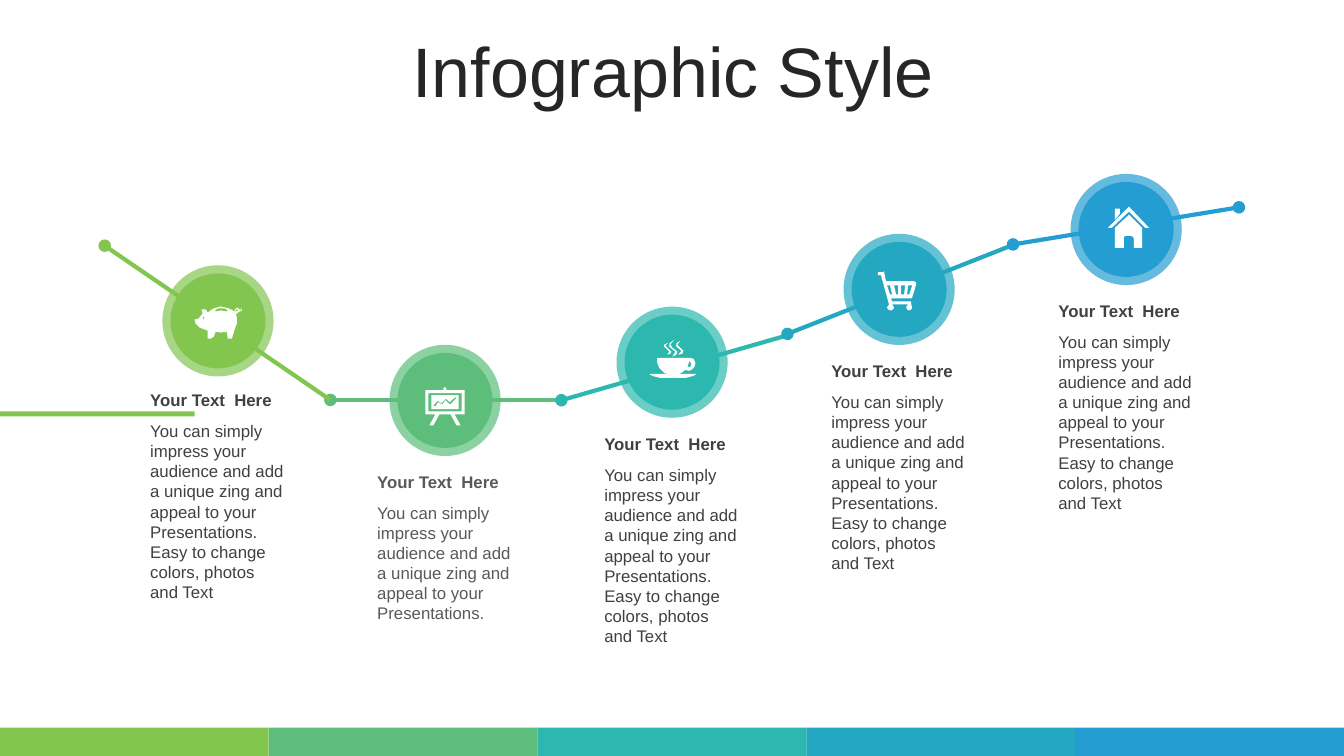
"""Builds the "Infographic Style" slide: five icon steps along a rising line."""
import pptx
import pptx.dml.color
import pptx.enum.shapes
import pptx.enum.text
import pptx.oxml
import pptx.oxml.ns
import pptx.util

Pt = pptx.util.Pt
RGB = pptx.dml.color.RGBColor
SHAPE = pptx.enum.shapes.MSO_SHAPE
TEXT = pptx.enum.text

GREEN = RGB(0x82, 0xC6, 0x50)
MINT = RGB(0x5C, 0xBE, 0x7A)
TEAL = RGB(0x2C, 0xB8, 0xAE)
CYAN = RGB(0x24, 0xA8, 0xC2)
BLUE = RGB(0x24, 0x9E, 0xD2)
WHITE = RGB(0xFF, 0xFF, 0xFF)
TITLE_INK = RGB(0x26, 0x26, 0x26)
DARK = RGB(0x40, 0x40, 0x40)
GREY = RGB(0x59, 0x59, 0x59)
PALETTE = [GREEN, MINT, TEAL, CYAN, BLUE]

SHORT_BODY = ("You can simply impress your audience and add a unique zing "
              "and appeal to your Presentations.")
LONG_BODY = SHORT_BODY + " Easy to change colors, photos and Text"

PIG = [
    [(26, 0), (34, 1.5), (40, 5), (41, 7), (41, 6), (40, 3), (42, 1), (45, 3), (44, 4),
     (46, 4), (46, 1), (47, 4), (43, 6), (41, 8), (42, 11), (42, 17), (40, 22), (37, 32),
     (33, 32), (32, 25), (26, 26), (21, 25), (19, 30), (16, 32), (13, 32), (13, 24),
     (5, 21), (1, 17), (0, 13), (4, 12), (8, 7), (7, 3), (11, 3), (13, 6), (19, 2)],
    [(9, 10), (8, 11), (9, 13), (10, 11)],
    [(42, 2), (41, 4), (42, 5), (43, 4)],
    [(27, 2), (23, 2.5), (20, 4), (21, 5), (26, 3.6), (32, 5), (33, 4), (30, 2.5)],
]
EASEL = [
    [(19, 0), (21, 1), (21, 3), (39, 3), (39, 27), (29, 27), (35, 38), (31, 38), (25, 27),
     (14, 27), (8, 38), (4, 38), (10, 27), (0, 27), (0, 3), (18, 3), (18, 1)],
    [(3, 6), (3, 24), (36, 24), (36, 6)],
    [(6, 8), (33, 8), (33, 22), (6, 22)],
    [(30, 10), (24, 15), (21, 11.5), (20, 11.5), (16, 16), (13, 14), (12, 14), (8, 18),
     (9, 19), (10, 19), (13, 15), (16, 17), (17, 17), (20, 13), (24, 17), (25, 17), (31, 11)],
]
CUP = [
    [(40, 18), (44, 19), (46, 23), (45, 27), (42, 30), (39, 31), (36, 30), (32, 33), (29, 34),
     (47, 34), (44, 36), (36, 37.5), (24, 38), (11, 37.5), (3, 36), (0, 34), (19, 34),
     (15, 33), (10, 28), (8, 23), (8, 18)],
    [(40, 21), (38, 27), (41, 27), (42, 24)],
    [(19, 3), (16, 6), (18, 8), (22, 12), (21, 14), (18, 15), (20, 12), (15, 7), (15, 5)],
    [(31, 1), (28, 5), (30, 7), (34, 11), (33, 14), (29, 15), (32, 11), (27, 7), (27, 4)],
    [(25, 0), (21, 5), (23, 8), (28, 12), (27, 15), (23, 17), (26, 12), (20, 7), (20, 4)],
]
CART = [
    [(6, 0), (8, 10), (36, 10), (38, 11), (38, 13), (34, 26), (33, 27), (13, 27), (14, 30),
     (33, 30), (33, 33), (34, 36), (33, 38.4), (31, 39), (29, 38), (28, 36), (29, 33.5),
     (30, 33), (14, 33), (16, 36), (15, 38.4), (13, 39), (10, 38), (9, 36), (11, 33),
     (3, 4), (0, 4), (0, 1), (5, 1)],
    [(30, 14), (29, 23), (31, 23), (34, 14)],
    [(23, 14), (23, 23), (26, 23), (27, 14)],
    [(16, 14), (18, 23), (20, 23), (20, 14)],
    [(9, 14), (12, 23), (14, 23), (12, 14)],
]
HOUSE = [
    [(21, 8), (34, 21), (34, 41), (26, 41), (26, 32), (25, 30), (23, 29), (18, 29), (16, 30),
     (16, 41), (7, 41), (7, 21)],
    [(7, 2), (12, 2), (12, 7), (7, 13)],
    [(21, 0), (41, 21), (37, 21), (21, 5), (4, 21), (0, 21)],
]

presentation = pptx.Presentation()
presentation.slide_width = Pt(960)
presentation.slide_height = Pt(540)
slide = presentation.slides.add_slide(presentation.slide_layouts[6])


def add_filled(kind, left, top, width, height, color):
    part = slide.shapes.add_shape(kind, Pt(left), Pt(top), Pt(width), Pt(height))
    part.shadow.inherit = False
    part.fill.solid()
    part.fill.fore_color.rgb = color
    part.line.fill.background()
    return part


def add_words(words, left, top, width, height, size, color):
    box = slide.shapes.add_textbox(Pt(left), Pt(top), Pt(width), Pt(height))
    box.text_frame.word_wrap = True
    paragraph = box.text_frame.paragraphs[0]
    paragraph.text = words
    paragraph.font.name = "Arial"
    paragraph.font.size = Pt(size)
    paragraph.font.color.rgb = color
    return box.text_frame


for index, color in enumerate(PALETTE):
    add_filled(SHAPE.RECTANGLE, 192 * index, 519.8, 192, 20.2, color)
add_filled(SHAPE.RECTANGLE, 0, 293.8, 139, 3.6, GREEN)

trend = [
    (MINT, 236, 285.7, 397.5, 285.7, ["headEnd"]),
    (TEAL, 401, 285.9, 562.5, 239.5, ["headEnd"]),
    (CYAN, 562.5, 238.5, 724, 174.8, ["headEnd"]),
    (BLUE, 723.6, 174.6, 885, 148.1, ["headEnd", "tailEnd"]),
    (GREEN, 74.8, 175.5, 236, 285.7, ["headEnd"]),
]
for color, x1, y1, x2, y2, dots in trend:
    stretch = slide.shapes.add_connector(
        pptx.enum.shapes.MSO_CONNECTOR.STRAIGHT, Pt(x1), Pt(y1), Pt(x2), Pt(y2))
    stretch.line.color.rgb = color
    stretch.line.width = Pt(3)
    for dot in dots:
        end = pptx.oxml.parse_xml(f'<a:{dot} {pptx.oxml.ns.nsdecls("a")} type="oval"/>')
        stretch.line._get_or_add_ln().append(end)
    stretch._element.spPr.append(
        pptx.oxml.parse_xml(f'<a:effectLst {pptx.oxml.ns.nsdecls("a")}/>'))

steps = [
    (229.2, 275, DARK, LONG_BODY, 138.2, PIG, 139, 218.9),
    (286, 333.4, GREY, SHORT_BODY, 94.3, EASEL, 303.8, 276.5),
    (258.7, 306.5, DARK, LONG_BODY, 138.2, CUP, 463.7, 242.6),
    (206.7, 254.3, DARK, LONG_BODY, 138.2, CART, 627.1, 193.7),
    (163.9, 211.2, DARK, LONG_BODY, 138.2, HOUSE, 791.3, 147.6),
]
centers = [155.7 + 162.18 * index for index in range(len(steps))]

for diameter, opacity in [(79.4, 70), (67.8, 100)]:
    for center_x, step, color in zip(centers, steps, PALETTE):
        disc = add_filled(SHAPE.OVAL, center_x - diameter / 2, step[0] - diameter / 2,
                          diameter, diameter, color)
        if opacity < 100:
            tint = disc._element.spPr.find(".//" + pptx.oxml.ns.qn("a:srgbClr"))
            tint.append(pptx.oxml.parse_xml(
                f'<a:alpha {pptx.oxml.ns.nsdecls("a")} val="{opacity * 1000}"/>'))

title = add_words("Infographic Style", 25.2, 26.6, 911.5, 56.9, 50, TITLE_INK)
title.vertical_anchor = TEXT.MSO_ANCHOR.MIDDLE
title.paragraphs[0].alignment = TEXT.PP_ALIGN.CENTER
title.paragraphs[0].line_spacing = 0.8

for center_x, step in zip(centers, steps):
    _, heading_top, ink, body, body_height, icon, icon_left, icon_top = step
    left = center_x - 55.5
    heading = add_words("Your Text  Here", left, heading_top, 110.2, 21.8, 12, ink)
    heading.paragraphs[0].font.bold = True
    detail = add_words(body, left, heading_top + 21.9, 110.2, body_height, 12, ink)
    for frame in (heading, detail):
        frame.auto_size = TEXT.MSO_AUTO_SIZE.SHAPE_TO_FIT_TEXT

    outline = slide.shapes.build_freeform(*icon[0][0], scale=Pt(0.72))
    for number, contour in enumerate(icon):
        if number:
            outline.move_to(*contour[0])
        outline.add_line_segments(contour[1:], close=True)
    symbol = outline.convert_to_shape(Pt(icon_left), Pt(icon_top))
    symbol.shadow.inherit = False
    symbol.fill.solid()
    symbol.fill.fore_color.rgb = WHITE
    symbol.line.fill.background()

presentation.save("out.pptx")
